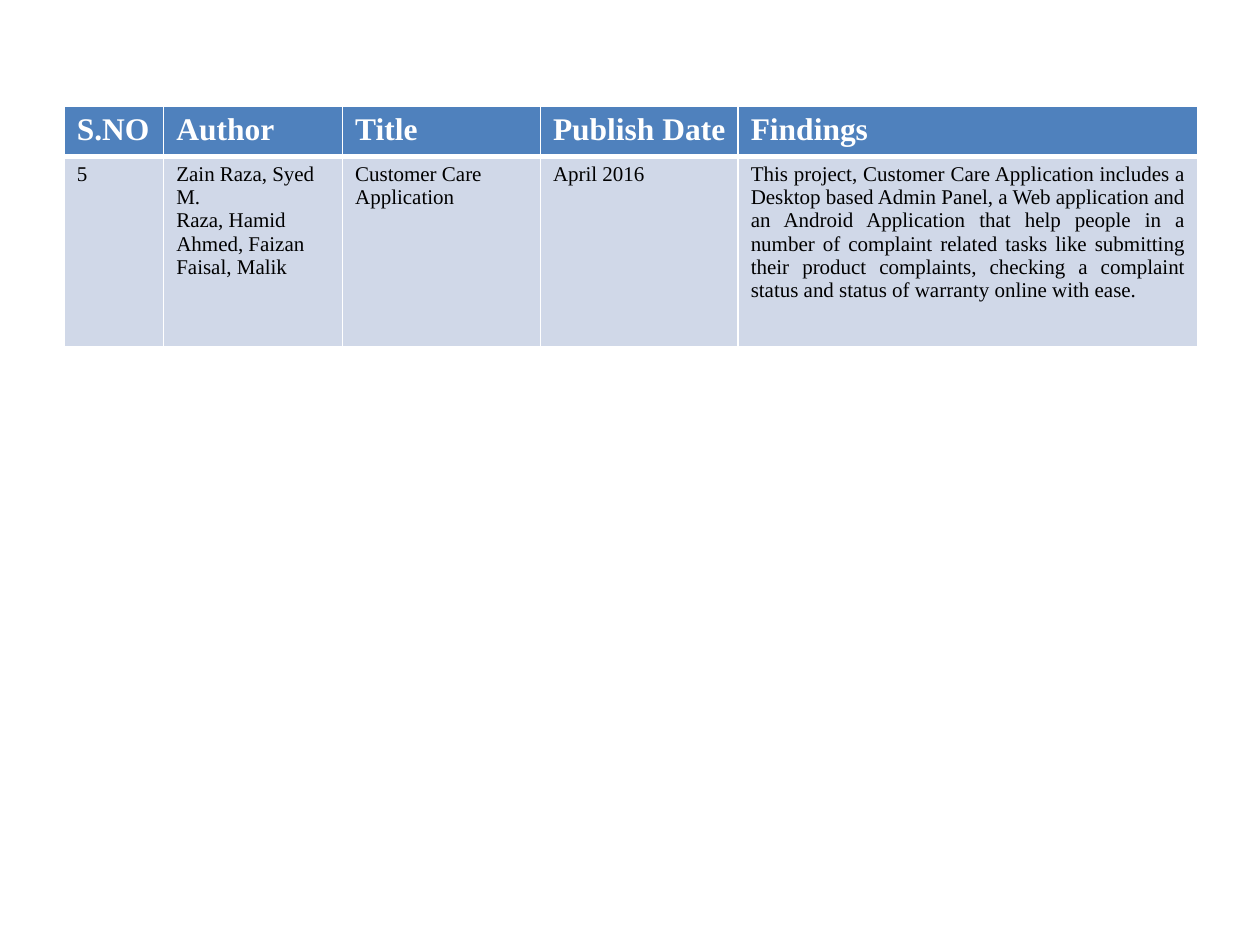
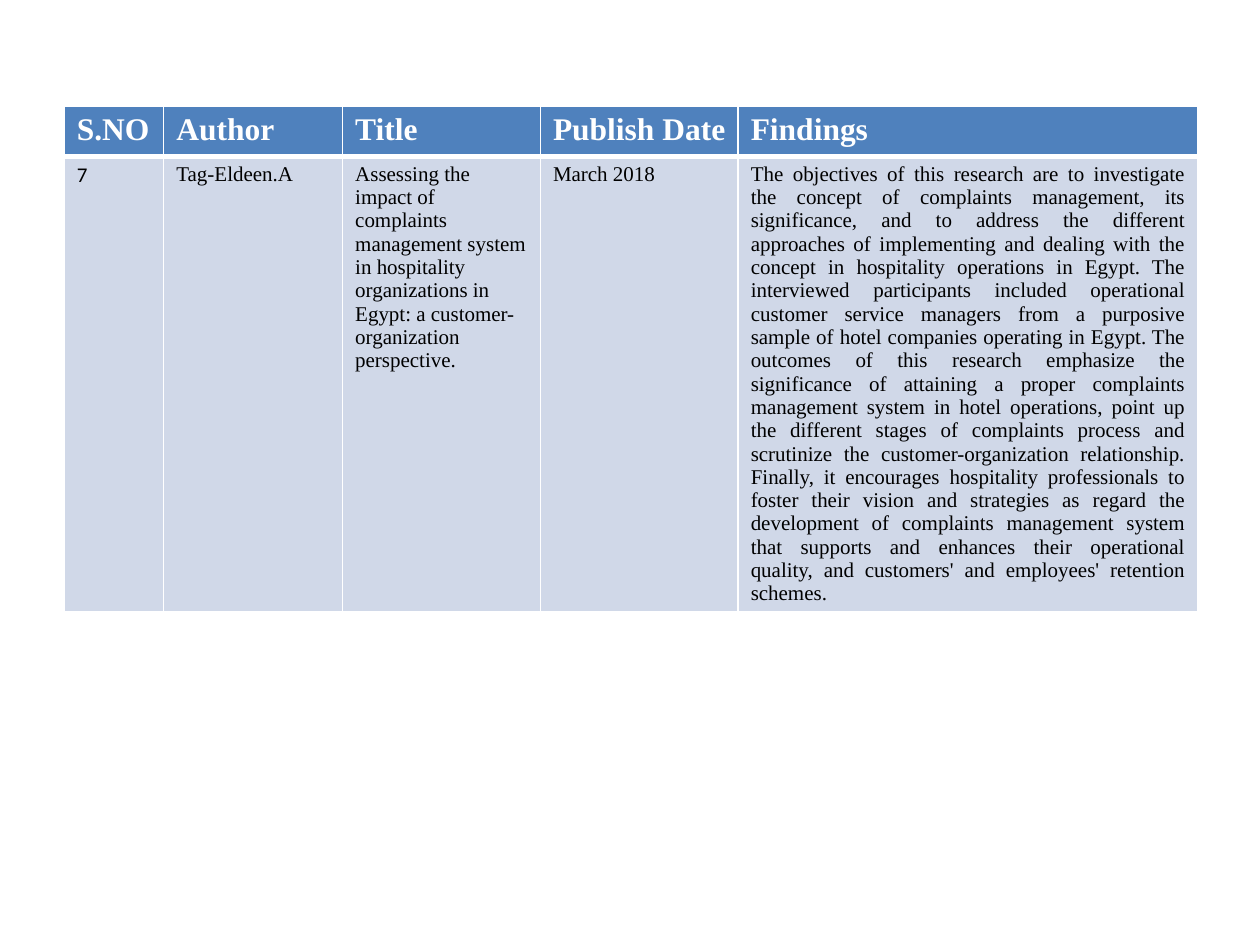
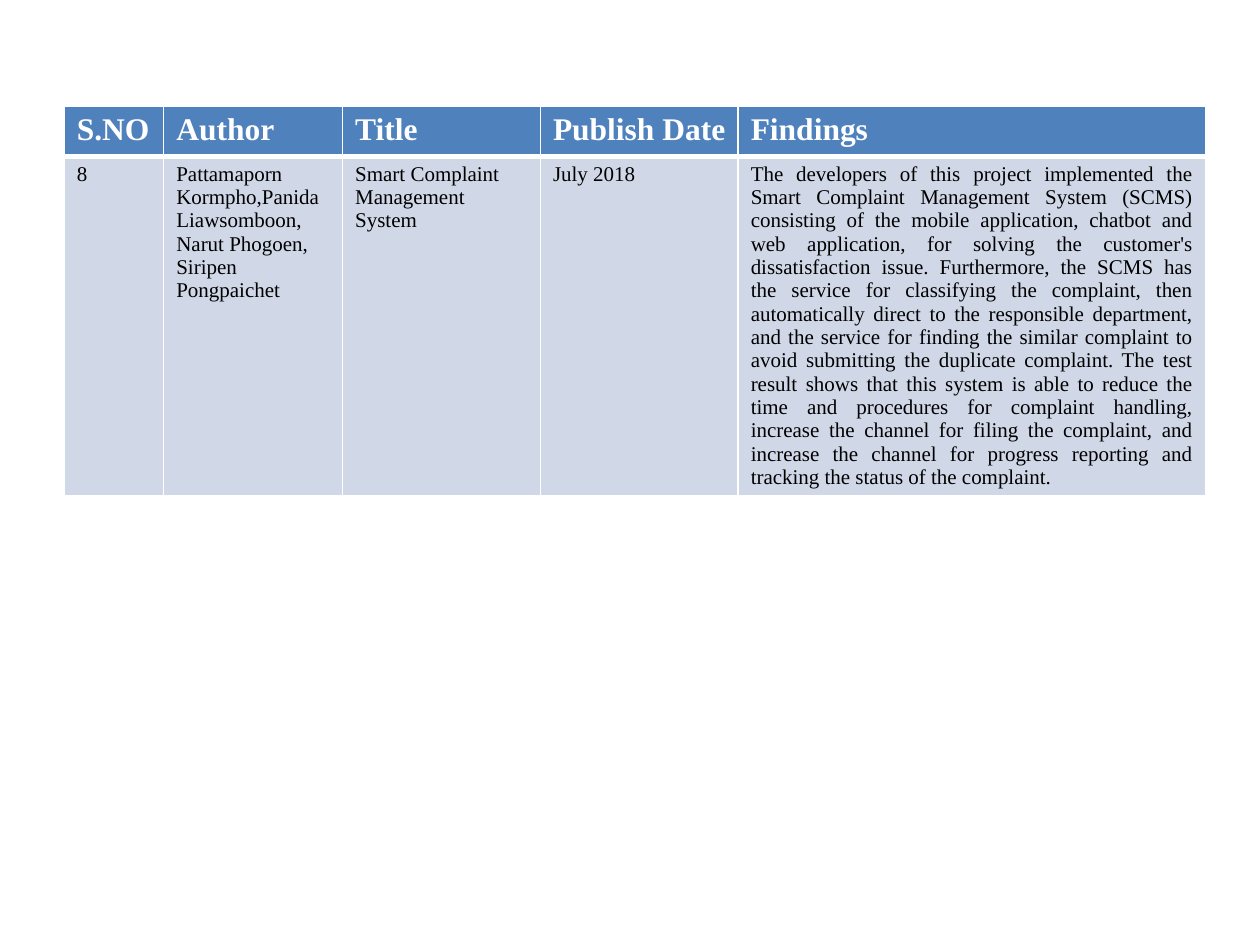
"""Builds three literature survey slides, each with one table."""
from dataclasses import dataclass
from lxml import etree
from pptx import Presentation, util as u
from pptx.dml import color
from pptx.enum import text
from pptx.oxml import ns


@dataclass(frozen=True)
class Theme:
    font: str = "Times New Roman"
    plain: str = "Calibri"
    head: str = "4F81BD"
    body: str = "D0D8E8"
    light: str = "FFFFFF"
    dark: str = "000000"
    big: int = 18
    small: int = 12
    thin: int = 1
    thick: int = 3


def rgb(code):
    return color.RGBColor.from_string(code)


def write(frame, words, font, size, ink, bold=False, align=None):
    frame.word_wrap = True
    for i, line in enumerate(words.split("\n")):
        par = frame.paragraphs[0] if i == 0 else frame.add_paragraph()
        par.alignment = align
        run = par.add_run()
        run.text = line
        run.font.name = font
        run.font.size = u.Pt(size)
        run.font.bold = bold
        run.font.color.rgb = rgb(ink)


class Deck:
    def __init__(self, theme):
        self.theme = theme
        self.show = Presentation()
        self.show.slide_width = u.Inches(10)
        self.show.slide_height = u.Inches(7.5)
        self.slide = None

    def page(self):
        self.slide = self.show.slides.add_slide(self.show.slide_layouts[6])
        back = self.slide.background.fill
        back.solid()
        back.fore_color.rgb = rgb(self.theme.light)

    def edge(self, cell, widths):
        props = cell._tc.get_or_add_tcPr()
        for i, (side, width) in enumerate(zip("LRTB", widths)):
            line = etree.Element(ns.qn("a:ln" + side), w=str(u.Pt(width)))
            fill = etree.SubElement(line, ns.qn("a:solidFill"))
            etree.SubElement(fill, ns.qn("a:srgbClr"), val=self.theme.light)
            props.insert(i, line)

    def cell(self, cell, words, fill, widths, **style):
        cell.fill.solid()
        cell.fill.fore_color.rgb = rgb(fill)
        self.edge(cell, widths)
        write(cell.text_frame, words, **style)

    def table(self, left, top, cols, rows, heads, entry, font):
        t = self.theme
        grid = self.slide.shapes.add_table(
            2, len(cols), u.Inches(left), u.Inches(top),
            u.Inches(sum(cols)), u.Inches(sum(rows))).table
        for col, width in zip(grid.columns, cols):
            col.width = u.Inches(width)
        for row, height in zip(grid.rows, rows):
            row.height = u.Inches(height)
        last = len(cols) - 1
        for i, (head, words) in enumerate(zip(heads, entry)):
            self.cell(grid.cell(0, i), head, t.head,
                      (t.thin, t.thin, t.thin, t.thick),
                      font=t.font, size=t.big, ink=t.light, bold=True)
            self.cell(grid.cell(1, i), words, t.body,
                      (t.thin, t.thin, t.thick, t.thin),
                      font=font if i == 0 else t.font, size=t.small, ink=t.dark,
                      align=text.PP_ALIGN.JUSTIFY if i == last else None)

    def save(self):
        self.show.save("out.pptx")


HEADS = ("S.NO", "Author", "Title", "Publish Date", "Findings")
COLS = (0.79, 1.42, 1.57, 1.57)
THEME = Theme()

PAPERS = (
    (3.65, 1.51, THEME.font, (
        "5",
        "Zain Raza, Syed M.\nRaza, Hamid\nAhmed, Faizan\nFaisal, Malik",
        "Customer Care Application",
        "April 2016",
        "This project, Customer Care Application includes a Desktop based Admin "
        "Panel, a Web application and an Android Application that help people in "
        "a number of complaint related tasks like submitting their product "
        "complaints, checking a complaint status and status of warranty online "
        "with ease.")),
    (3.65, 3.6, THEME.plain, (
        "7",
        "Tag-Eldeen.A",
        "Assessing the impact of complaints management system in hospitality "
        "organizations in Egypt: a customer-organization perspective.",
        "March 2018",
        " ".join((
            "The objectives of this research are to investigate the concept of "
            "complaints management, its significance, and to address the "
            "different approaches of implementing and dealing with the concept "
            "in hospitality operations in Egypt.",
            "The interviewed participants included operational customer service "
            "managers from a purposive sample of hotel companies operating in "
            "Egypt.",
            "The outcomes of this research emphasize the significance of "
            "attaining a proper complaints management system in hotel "
            "operations, point up the different stages of complaints process "
            "and scrutinize the customer-organization relationship.",
            "Finally, it encourages hospitality professionals to foster their "
            "vision and strategies as regard the development of complaints "
            "management system that supports and enhances their operational "
            "quality, and customers' and employees' retention schemes.")))),
    (3.71, 2.68, THEME.font, (
        "8",
        "Pattamaporn Kormpho,Panida Liawsomboon, Narut Phogoen, Siripen "
        "Pongpaichet",
        "Smart Complaint Management System",
        "July 2018",
        "The developers of this project implemented the Smart Complaint "
        "Management System (SCMS) consisting of the mobile application, chatbot "
        "and web application, for solving the customer's dissatisfaction issue. "
        "Furthermore, the SCMS has the service for classifying the complaint, "
        "then automatically direct to the responsible department, and the "
        "service for finding the similar complaint to avoid submitting the "
        "duplicate complaint. The test result shows that this system is able to "
        "reduce the time and procedures for complaint handling, increase the "
        "channel for filing the complaint, and increase the channel for progress "
        "reporting and tracking the status of the complaint.")),
)

deck = Deck(THEME)
for wide, tall, font, entry in PAPERS:
    deck.page()
    deck.table(0.51, 0.84, COLS + (wide,), (0.4, tall), HEADS, entry, font)
deck.save()
